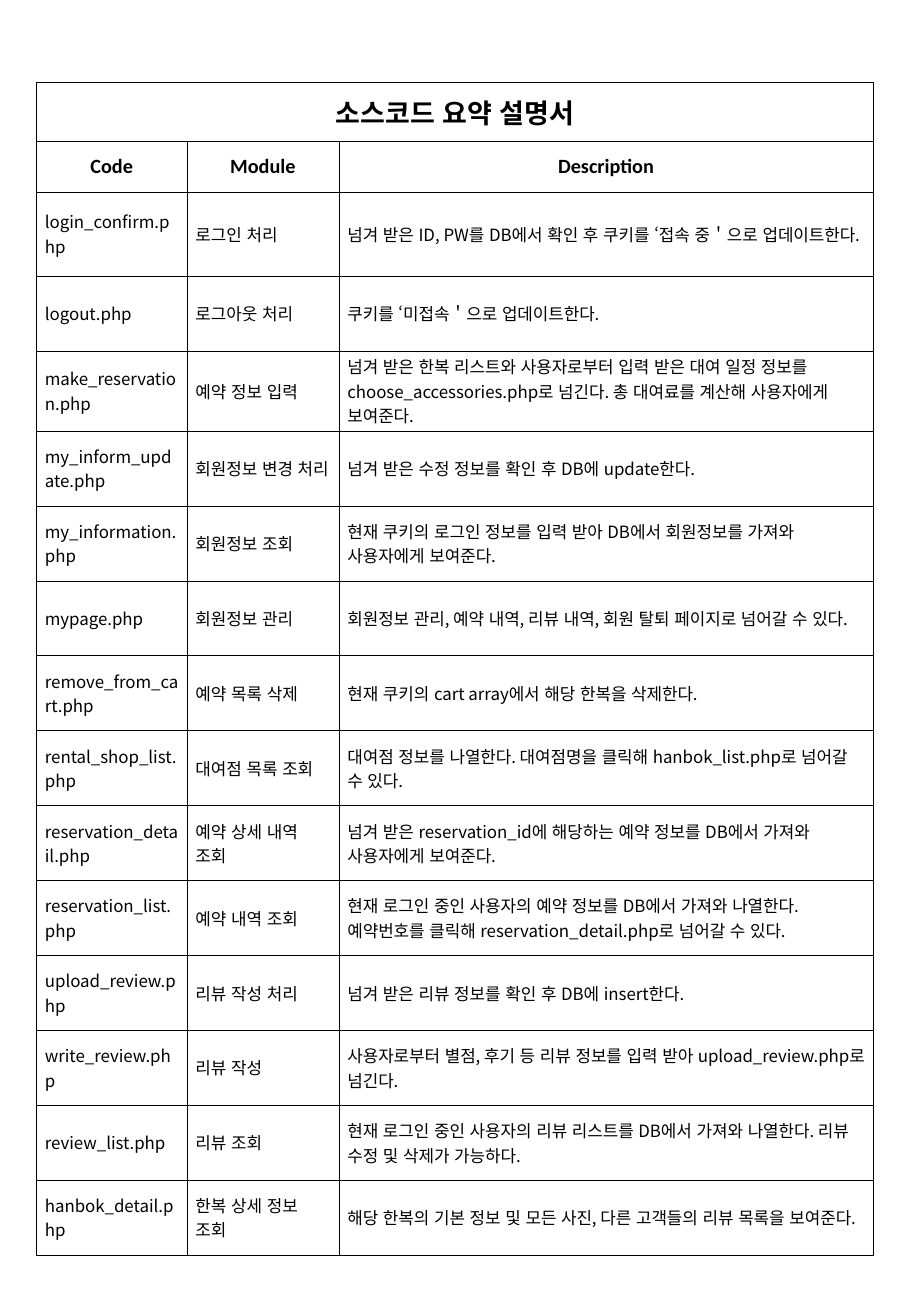
"""Builds a one-page table that summarises the source files of a rental site."""
from lxml import etree
from pptx import Presentation
from pptx.dml.color import RGBColor
from pptx.enum.lang import MSO_LANGUAGE_ID
from pptx.enum.text import MSO_ANCHOR, PP_ALIGN
from pptx.oxml.ns import qn
from pptx.util import Inches, Pt

CENTER, LEFT = PP_ALIGN.CENTER, PP_ALIGN.LEFT
MIDDLE = MSO_ANCHOR.MIDDLE
KOREAN = MSO_LANGUAGE_ID.KOREAN

TITLE = "소스코드 요약 설명서"
HEADINGS = ("Code", "Module", "Description")
FILES = [
    ("login_confirm.php", "로그인 처리",
     "넘겨 받은 ID, PW를 DB에서 확인 후 쿠키를 ‘접속 중＇으로 업데이트한다."),
    ("logout.php", "로그아웃 처리",
     "쿠키를 ‘미접속＇으로 업데이트한다."),
    ("make_reservation.php", "예약 정보 입력",
     "넘겨 받은 한복 리스트와 사용자로부터 입력 받은 대여 일정 정보를 "
     "choose_accessories.php로 넘긴다. 총 대여료를 계산해 사용자에게 보여준다."),
    ("my_inform_update.php", "회원정보 변경 처리",
     "넘겨 받은 수정 정보를 확인 후 DB에 update한다."),
    ("my_information.php", "회원정보 조회",
     "현재 쿠키의 로그인 정보를 입력 받아 DB에서 회원정보를 가져와 사용자에게 보여준다."),
    ("mypage.php", "회원정보 관리",
     "회원정보 관리, 예약 내역, 리뷰 내역, 회원 탈퇴 페이지로 넘어갈 수 있다."),
    ("remove_from_cart.php", "예약 목록 삭제",
     "현재 쿠키의 cart array에서 해당 한복을 삭제한다."),
    ("rental_shop_list.php", "대여점 목록 조회",
     "대여점 정보를 나열한다. 대여점명을 클릭해 hanbok_list.php로 넘어갈 수 있다."),
    ("reservation_detail.php", "예약 상세 내역 조회",
     "넘겨 받은 reservation_id에 해당하는 예약 정보를 DB에서 가져와 사용자에게 보여준다."),
    ("reservation_list.php", "예약 내역 조회",
     "현재 로그인 중인 사용자의 예약 정보를 DB에서 가져와 나열한다. "
     "예약번호를 클릭해 reservation_detail.php로 넘어갈 수 있다."),
    ("upload_review.php", "리뷰 작성 처리",
     "넘겨 받은 리뷰 정보를 확인 후 DB에 insert한다."),
    ("write_review.php", "리뷰 작성",
     "사용자로부터 별점, 후기 등 리뷰 정보를 입력 받아 upload_review.php로 넘긴다."),
    ("review_list.php", "리뷰 조회",
     "현재 로그인 중인 사용자의 리뷰 리스트를 DB에서 가져와 나열한다. "
     "리뷰 수정 및 삭제가 가능하다."),
    ("hanbok_detail.php", "한복 상세 정보 조회",
     "해당 한복의 기본 정보 및 모든 사진, 다른 고객들의 리뷰 목록을 보여준다."),
]

COLORS = {"ink": "000000", "paper": "FFFFFF"}
HEAD_FONT, BODY_FONT = "Calibri", "Noto Sans CJK KR"
STYLES = {
    "title": (HEAD_FONT, 16, True, CENTER),
    "heading": (HEAD_FONT, 12, True, CENTER),
    "body": (BODY_FONT, 10, False, LEFT),
}
SLIDE_WIDTH, SLIDE_HEIGHT = 7.5, 10.83
TABLE_LEFT, TABLE_TOP, TABLE_HEIGHT = 0.3, 0.68, 9.61
COLUMN_WIDTHS = (1.24, 1.25, 4.4)
TOP_ROWS = (0.48, 0.42, 0.69)
SIDE_INSET, END_INSET = 0.07, 0.03
BORDER_WIDTH = 0.25


def draw_borders(cell):
    """Gives the cell a thin line on each of its four sides."""
    properties = cell._tc.get_or_add_tcPr()
    for position, side in enumerate(("lnL", "lnR", "lnT", "lnB")):
        line = etree.Element(qn(f"a:{side}"), w=str(Pt(BORDER_WIDTH)))
        fill = etree.SubElement(line, qn("a:solidFill"))
        etree.SubElement(fill, qn("a:srgbClr"), val=COLORS["ink"])
        properties.insert(position, line)


def format_cell(cell):
    """Sets the fill, margins, anchor and borders of a cell."""
    cell.fill.solid()
    cell.fill.fore_color.rgb = RGBColor.from_string(COLORS["paper"])
    cell.margin_left = cell.margin_right = Inches(SIDE_INSET)
    cell.margin_top = cell.margin_bottom = Inches(END_INSET)
    cell.vertical_anchor = MIDDLE
    draw_borders(cell)


def write_cell(cell, text, style):
    """Writes one run of text in a named style."""
    name, size, bold, alignment = STYLES[style]
    para = cell.text_frame.paragraphs[0]
    para.alignment = alignment
    span = para.add_run()
    span.text = text
    font = span.font
    font.size, font.bold = Pt(size), bold
    font.language_id = KOREAN
    font.color.rgb = RGBColor.from_string(COLORS["ink"])
    font.name = name
    etree.SubElement(font._element, qn("a:ea"), typeface=BODY_FONT)


def main():
    """Builds the page and saves it."""
    deck = Presentation()
    deck.slide_width, deck.slide_height = Inches(SLIDE_WIDTH), Inches(SLIDE_HEIGHT)
    page = deck.slides.add_slide(deck.slide_layouts[6])

    rows = [(TITLE,), HEADINGS, *FILES]
    plain_rows = len(rows) - len(TOP_ROWS)
    plain_height = (TABLE_HEIGHT - sum(TOP_ROWS)) / plain_rows
    heights = [*TOP_ROWS, *[plain_height] * plain_rows]

    table = page.shapes.add_table(
        len(rows), len(COLUMN_WIDTHS), Inches(TABLE_LEFT), Inches(TABLE_TOP),
        Inches(sum(COLUMN_WIDTHS)), Inches(TABLE_HEIGHT)).table
    table.first_row = table.horz_banding = False
    for column, width in zip(table.columns, COLUMN_WIDTHS):
        column.width = Inches(width)
    for row, height in zip(table.rows, heights):
        row.height = Inches(height)
    for cell in table.iter_cells():
        format_cell(cell)
    table.cell(0, 0).merge(table.cell(0, len(COLUMN_WIDTHS) - 1))

    styles = ["title", "heading", *["body"] * len(FILES)]
    for row, texts, style in zip(table.rows, rows, styles):
        for cell, text in zip(row.cells, texts):
            write_cell(cell, text, style)

    deck.save("out.pptx")


if __name__ == "__main__":
    main()
